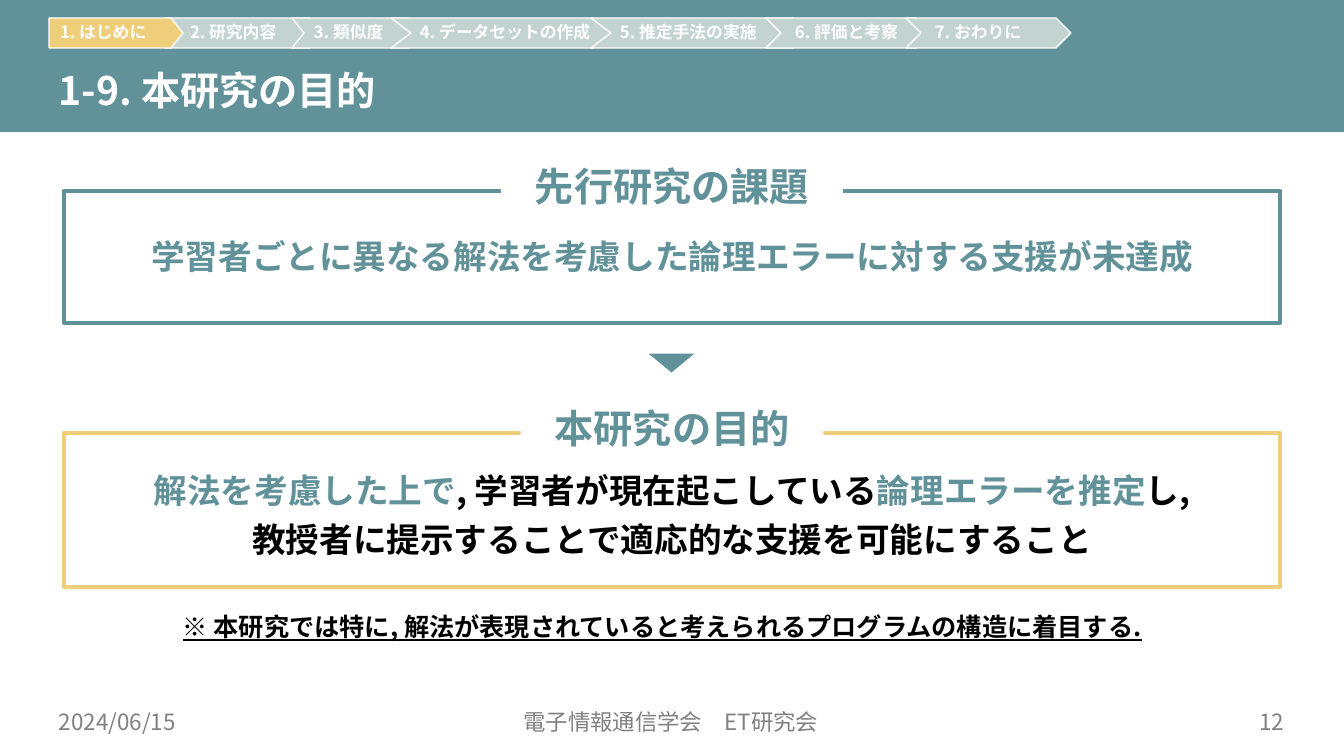
"""Build the slide on the aim of the study, with its chapter trail and two framed statements."""
import lxml.etree
import pptx
import pptx.dml.color
import pptx.enum.shapes
import pptx.enum.text
import pptx.oxml.ns
import pptx.util

RGB = pptx.dml.color.RGBColor
SHAPE = pptx.enum.shapes.MSO_SHAPE
ALIGN = pptx.enum.text.PP_ALIGN
ANCHOR = pptx.enum.text.MSO_ANCHOR

TEAL = RGB(0x62, 0x92, 0x99)
GOLD = RGB(0xEF, 0xCE, 0x7B)
PALE = RGB(0xC2, 0xD3, 0xD0)
WHITE = RGB(0xFF, 0xFF, 0xFF)
BLACK = RGB(0, 0, 0)
GREY = RGB(0x80, 0x80, 0x80)
FONT = "Noto Sans CJK JP"

WIDE, HIGH = 1344, 756
SCALE = 914400 / 100.8

TITLE = "1-9. 本研究の目的"
NOTE = "※ 本研究では特に, 解法が表現されていると考えられるプログラムの構造に着目する."
STEPS = [
    ("2. 研究内容", 165, 159, 25),
    ("1. はじめに", 49, 134, 11),
    ("3. 類似度", 292, 128, 22),
    ("4. データセットの作成", 391, 222, 29),
    ("5. 推定手法の実施", 591, 222, 29),
    ("6. 評価と考察", 766, 165, 29),
    ("7. おわりに", 906, 165, 29),
]
PANELS = [
    {"label": "先行研究の課題", "gap": 342, "top": 191, "high": 132, "drop": 45, "line": TEAL,
     "body": [[("学習者ごとに異なる解法を考慮した論理エラーに対する支援が未達成", TEAL)]]},
    {"label": "本研究の目的", "gap": 303, "top": 433, "high": 154, "drop": 37, "line": GOLD,
     "body": [[("解法を考慮した上で", TEAL), (", 学習者が現在起こしている", BLACK),
               ("論理エラーを推定", TEAL), ("し,", BLACK)],
              [("教授者に提示することで適応的な支援を可能にすること", BLACK)]]},
]
FOOTER = [
    ("2024/06/15", 49, 302, ALIGN.LEFT),
    ("12", 992, 302, ALIGN.RIGHT),
    ("電子情報通信学会\u3000ET研究会".replace("\u3000", "　"), 419, 504, ALIGN.CENTER),
]


def px(num):
    """Turn px into EMU."""
    return pptx.util.Emu(round(num * SCALE))


def paint(shape, fill=None, line=None, width=1):
    """Set the fill and outline of a shape and drop its shadow."""
    shape.shadow.inherit = False
    if fill is None:
        shape.fill.background()
    else:
        shape.fill.solid()
        shape.fill.fore_color.rgb = fill
    if line is None:
        shape.line.fill.background()
    else:
        shape.line.color.rgb = line
        shape.line.width = pptx.util.Pt(width)
    return shape


def block(slide, kind, left, top, wide, high, **look):
    """Add a painted preset shape."""
    return paint(slide.shapes.add_shape(kind, px(left), px(top), px(wide), px(high)), **look)


def style(para, size, color, bold=True, align=ALIGN.LEFT):
    """Set the font and alignment of a paragraph."""
    para.alignment = align
    font = para.font
    font.name, font.size, font.bold = FONT, pptx.util.Pt(size), bold
    font.color.rgb = color
    base = para._p.find(".//" + pptx.oxml.ns.qn("a:defRPr"))
    lxml.etree.SubElement(base, pptx.oxml.ns.qn("a:ea")).set("typeface", FONT)


def write(shape, text, size, color, anchor=ANCHOR.MIDDLE, wrap=True, **look):
    """Put one styled paragraph into a shape."""
    frame = shape.text_frame
    frame.word_wrap, frame.vertical_anchor = wrap, anchor
    para = frame.paragraphs[0]
    para.add_run().text = text
    style(para, size, color, **look)
    return para


def box(slide, left, top, wide, high):
    """Add an empty text box."""
    return slide.shapes.add_textbox(px(left), px(top), px(wide), px(high))


def step(slide, text, left, wide, inset):
    """Add one link of the chapter trail."""
    first = text.startswith("1.")
    top, high = 18, 30
    tip, mid, right = round(wide * 0.09), top + high // 2, left + wide
    points = [(right - tip, top), (right, mid), (right - tip, top + high), (left, top + high)]
    if not first:
        points.append((left + tip, mid))
    path = slide.shapes.build_freeform(left, top, scale=SCALE)
    path.add_line_segments(points, close=True)
    shape = paint(path.convert_to_shape(), fill=GOLD if first else PALE, line=WHITE)
    frame = shape.text_frame
    frame.margin_left, frame.margin_right = px(inset), px(8)
    frame.margin_top = frame.margin_bottom = px(3)
    write(shape, text, 12, WHITE).line_spacing = 0.9


def panel(slide, label, gap, top, high, drop, line, body):
    """Add a frame with its label set into the top edge and its statement inside."""
    left, wide = 64, 1216
    block(slide, SHAPE.RECTANGLE, left, top, wide, high, line=line, width=3)
    tag = block(slide, SHAPE.RECTANGLE, (WIDE - gap) / 2, top - 34, gap, 57, fill=WHITE)
    write(tag, label, 28, TEAL, anchor=ANCHOR.TOP, wrap=False, align=ALIGN.CENTER)
    frame = box(slide, left, top + drop, wide, 118).text_frame
    frame.word_wrap = True
    for num, parts in enumerate(body):
        para = frame.add_paragraph() if num else frame.paragraphs[0]
        para.line_spacing, para.space_before = pptx.util.Pt(25), pptx.util.Pt(10)
        style(para, 24, parts[0][1], align=ALIGN.CENTER)
        for text, color in parts:
            run = para.add_run()
            run.text = text
            if color != parts[0][1]:
                run.font.color.rgb = color


def main():
    """Lay out the slide and save it."""
    deck = pptx.Presentation()
    deck.slide_width, deck.slide_height = px(WIDE), px(HIGH)
    slide = deck.slides.add_slide(deck.slide_layouts[6])

    block(slide, SHAPE.RECTANGLE, 0, 0, WIDE, 132, fill=TEAL)
    write(box(slide, 49, 53, 1001, 80), TITLE, 28, WHITE).line_spacing = 0.9
    for item in STEPS:
        step(slide, *item)

    for item in PANELS:
        panel(slide, **item)
    arrow = block(slide, SHAPE.RIGHT_ARROW, 662, 340, 19, 46, fill=TEAL)
    arrow.rotation = 90
    arrow.adjustments[0], arrow.adjustments[1] = 0.36, 1

    note = write(box(slide, 173, 606, 998, 40), NOTE, 18, BLACK, anchor=ANCHOR.TOP, wrap=False)
    note.font.underline = True
    for text, left, wide, align in FOOTER:
        write(box(slide, left, 702, wide, 40), text, 16, GREY, bold=False, align=align)

    deck.save("out.pptx")


if __name__ == "__main__":
    main()
